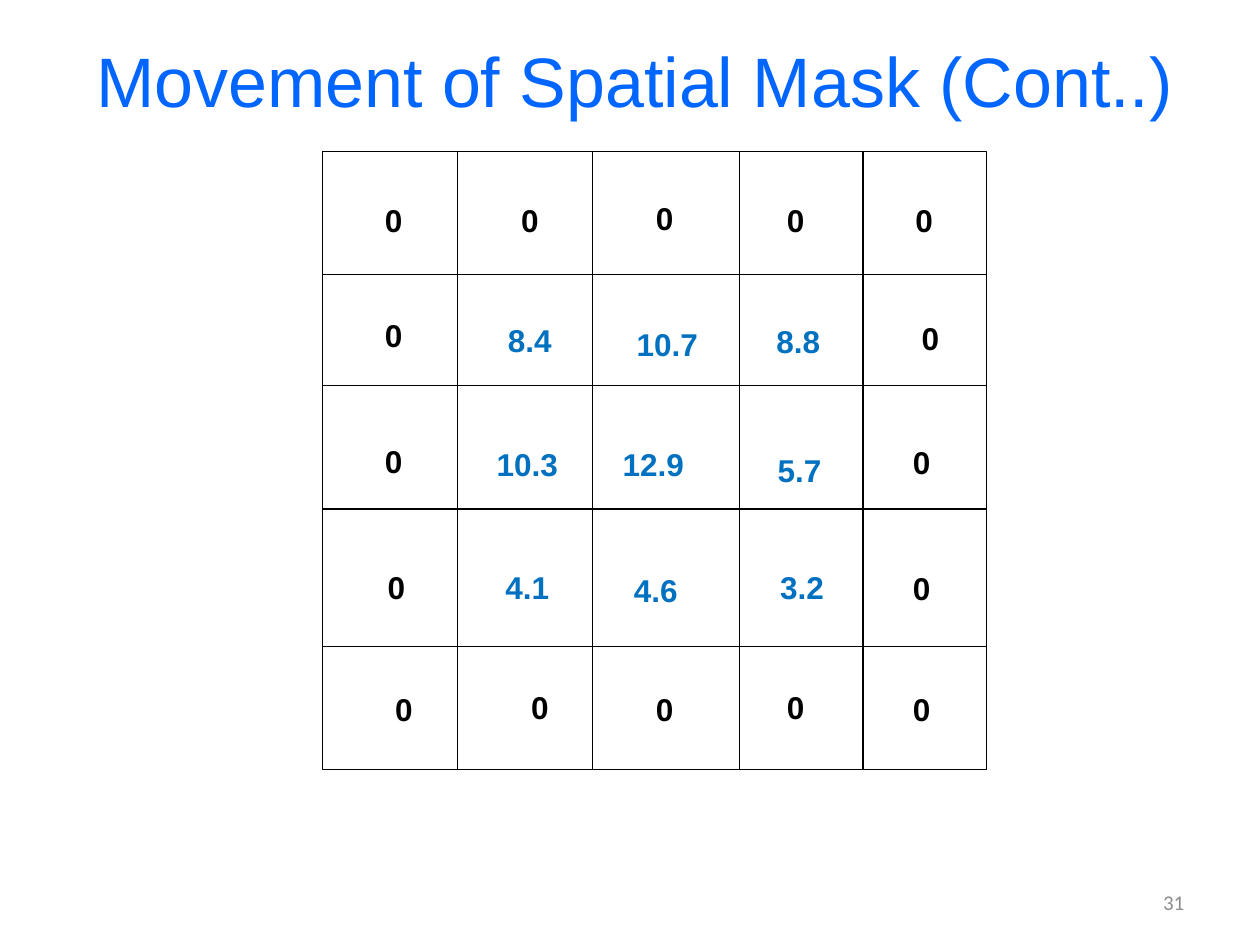
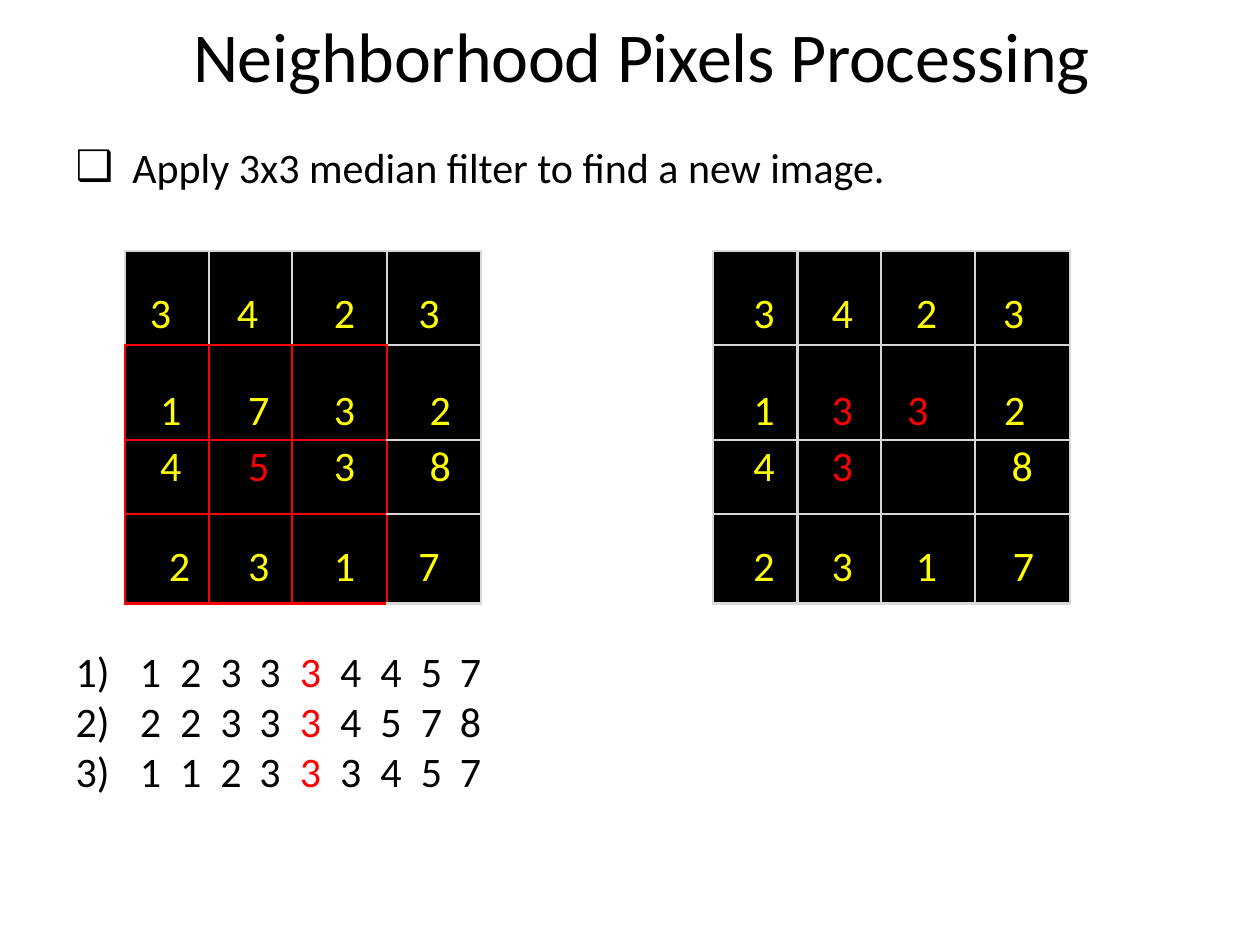
from typing import NamedTuple

from lxml import etree
from pptx import Presentation
from pptx.dml.color import RGBColor
from pptx.enum import shapes, text
from pptx.oxml import ns
from pptx.util import Inches, Pt

BLACK = RGBColor(0x00, 0x00, 0x00)
WHITE = RGBColor(0xFF, 0xFF, 0xFF)
GREY = RGBColor(0x8C, 0x8C, 0x8C)
SILVER = RGBColor(0xD7, 0xD7, 0xD7)
RED = RGBColor(0xFF, 0x00, 0x00)
YELLOW = RGBColor(0xFF, 0xFF, 0x00)
TITLE_BLUE = RGBColor(0x00, 0x66, 0xFF)
VALUE_BLUE = RGBColor(0x00, 0x70, 0xC0)

LEFT, CENTER, RIGHT = text.PP_ALIGN.LEFT, text.PP_ALIGN.CENTER, text.PP_ALIGN.RIGHT
TITLE_SIZE = 40
BODY_SIZE = 24


class Box(NamedTuple):
    x: float
    y: float
    w: float
    h: float


class Run(NamedTuple):
    text: str
    color: RGBColor = BLACK


class Reading(NamedTuple):
    text: str
    center: float
    top: float


class Pixel(NamedTuple):
    text: str
    indent: float
    color: RGBColor = YELLOW


class PixelTable(NamedTuple):
    x: float
    rows: list[list[Pixel]]
    window: set[tuple[int, int]]


GRID = Box(2.56, 1.2, 5.27, 4.91)
GRID_XS = (3.63, 4.7, 5.87, 6.85)
GRID_YS = (2.18, 3.06, 4.04, 5.13)
READINGS = [
    Reading("0", 3.13, 1.55), Reading("0", 4.21, 1.55), Reading("0", 5.28, 1.53),
    Reading("0", 6.32, 1.55), Reading("0", 7.34, 1.55),
    Reading("0", 3.13, 2.46), Reading("8.4", 4.21, 2.5), Reading("10.7", 5.3, 2.53),
    Reading("8.8", 6.34, 2.51), Reading("0", 7.39, 2.48),
    Reading("0", 3.13, 3.46), Reading("10.3", 4.19, 3.48), Reading("12.9", 5.19, 3.48),
    Reading("5.7", 6.35, 3.53), Reading("0", 7.32, 3.47),
    Reading("0", 3.15, 4.46), Reading("4.1", 4.19, 4.46), Reading("4.6", 5.21, 4.48),
    Reading("3.2", 6.37, 4.46), Reading("0", 7.32, 4.47),
    Reading("0", 3.21, 5.43), Reading("0", 4.29, 5.41), Reading("0", 5.28, 5.43),
    Reading("0", 6.32, 5.41), Reading("0", 7.32, 5.43),
]

TABLE_TOP = 1.99
COL_WIDTHS = (0.67, 0.66, 0.75, 0.75)
ROW_HEIGHTS = (0.75, 0.75, 0.59, 0.71)
ROW_INSETS = (0.34, 0.36, 0.05, 0.26)
SIDES = {"a:lnL": (0, -1), "a:lnR": (0, 1), "a:lnT": (-1, 0), "a:lnB": (1, 0)}

SOURCE_PIXELS = PixelTable(
    0.99,
    [
        [Pixel("3", 0.2), Pixel("4", 0.22), Pixel("2", 0.33), Pixel("3", 0.25)],
        [Pixel("1", 0.28), Pixel("7", 0.31), Pixel("3", 0.33), Pixel("2", 0.34)],
        [Pixel("4", 0.28), Pixel("5", 0.31, RED), Pixel("3", 0.33), Pixel("8", 0.34)],
        [Pixel("2", 0.35), Pixel("3", 0.31), Pixel("1", 0.33), Pixel("7", 0.25)],
    ],
    {(row, col) for row in (1, 2, 3) for col in (0, 1, 2)},
)
FILTERED_PIXELS = PixelTable(
    5.66,
    [
        [Pixel("3", 0.32), Pixel("4", 0.27), Pixel("2", 0.28), Pixel("3", 0.22)],
        [Pixel("1", 0.32), Pixel("3", 0.27, RED), Pixel("3", 0.21, RED), Pixel("2", 0.23)],
        [Pixel("4", 0.32), Pixel("3", 0.27, RED), Pixel("", 0), Pixel("8", 0.29)],
        [Pixel("2", 0.32), Pixel("3", 0.27), Pixel("1", 0.28), Pixel("7", 0.3)],
    ],
    set(),
)
SORTED_NEIGHBORS = ("123334457", "223334578", "112333457")


def write_runs(p, runs: list[Run], *, size: float, font: str = "Calibri",
               bold: bool = False, align=LEFT, spacing: float = 0) -> None:
    p.alignment = align
    for run in runs:
        r = p.add_run()
        r.text = run.text
        r.font.name = font
        r.font.size = Pt(size)
        r.font.bold = bold
        r.font.color.rgb = run.color
        if spacing:
            r._r.get_or_add_rPr().set("spc", str(round(spacing * 100)))


def add_text(sl, box: Box, lines: list[list[Run]], *, inset_top: float = 0.02,
             anchor=text.MSO_ANCHOR.TOP, **fmt):
    tf = sl.shapes.add_textbox(*map(Inches, box)).text_frame
    tf.word_wrap = True
    tf.vertical_anchor = anchor
    tf.margin_left = tf.margin_right = tf.margin_bottom = 0
    tf.margin_top = Inches(inset_top)
    for i, runs in enumerate(lines):
        p = tf.add_paragraph() if i else tf.paragraphs[0]
        write_runs(p, runs, **fmt)
    return tf


def set_indent(p, margin: float, *, first: float = 0, bullet: str = "",
               tabs: tuple[float, ...] = ()) -> None:
    pPr = p._p.get_or_add_pPr()
    pPr.set("marL", str(Inches(margin)))
    if first:
        pPr.set("indent", str(Inches(first)))
    if bullet:
        etree.SubElement(pPr, ns.qn("a:buFont"), typeface="Arial")
        etree.SubElement(pPr, ns.qn("a:buChar"), char=bullet)
    if tabs:
        tab_list = etree.SubElement(pPr, ns.qn("a:tabLst"))
        for tab in tabs:
            etree.SubElement(tab_list, ns.qn("a:tab"), pos=str(Inches(tab)), algn="l")


def add_line(sl, x1: float, y1: float, x2: float, y2: float) -> None:
    sp = sl.shapes.add_connector(shapes.MSO_CONNECTOR.STRAIGHT,
                                 *map(Inches, (x1, y1, x2, y2)))
    sp.line.color.rgb = BLACK
    sp.line.width = Pt(0.75)
    etree.SubElement(sp._element.spPr, ns.qn("a:effectLst"))


def set_border(tcPr, side: str, color: RGBColor) -> None:
    ln = etree.SubElement(tcPr, ns.qn(side), w=str(Pt(1.5)))
    fill = etree.SubElement(ln, ns.qn("a:solidFill"))
    etree.SubElement(fill, ns.qn("a:srgbClr"), val=str(color))


def add_pixel_table(sl, pixel_table: PixelTable) -> None:
    frame = sl.shapes.add_table(
        len(ROW_HEIGHTS), len(COL_WIDTHS), Inches(pixel_table.x), Inches(TABLE_TOP),
        Inches(sum(COL_WIDTHS)), Inches(sum(ROW_HEIGHTS)))
    table = frame.table
    table.first_row = table.horz_banding = False
    for col, width in zip(table.columns, COL_WIDTHS):
        col.width = Inches(width)
    for row, height in zip(table.rows, ROW_HEIGHTS):
        row.height = Inches(height)
    for i, pixels in enumerate(pixel_table.rows):
        for j, pixel in enumerate(pixels):
            cell = table.cell(i, j)
            cell.margin_left = Inches(pixel.indent)
            cell.margin_right = cell.margin_bottom = 0
            cell.margin_top = Inches(ROW_INSETS[i])
            for side, (di, dj) in SIDES.items():
                in_window = {(i, j), (i + di, j + dj)} & pixel_table.window
                set_border(cell._tc.get_or_add_tcPr(), side, RED if in_window else SILVER)
            cell.fill.solid()
            cell.fill.fore_color.rgb = BLACK
            if pixel.text:
                p = cell.text_frame.paragraphs[0]
                p.line_spacing = Pt(26.6)
                write_runs(p, [Run(pixel.text, pixel.color)], size=BODY_SIZE)


def add_title(sl, box: Box, title: str, *, color: RGBColor = BLACK, **fmt) -> None:
    add_text(sl, box, [[Run(title, color)]], size=TITLE_SIZE, align=CENTER, **fmt)


def add_blank_slide(prs):
    sl = prs.slides.add_slide(prs.slide_layouts[6])
    sl.background.fill.solid()
    sl.background.fill.fore_color.rgb = WHITE
    return sl


def build_mask_slide(prs) -> None:
    sl = add_blank_slide(prs)
    sp = sl.shapes.add_shape(shapes.MSO_SHAPE.RECTANGLE, *map(Inches, GRID))
    sp.shadow.inherit = False
    sp.fill.background()
    sp.line.color.rgb = BLACK
    sp.line.width = Pt(0.75)
    for y in GRID_YS:
        add_line(sl, GRID.x, y, GRID.x + GRID.w, y)
    for x in GRID_XS:
        add_line(sl, x, GRID.y, x, GRID.y + GRID.h)
    for reading in READINGS:
        color = BLACK if reading.text == "0" else VALUE_BLUE
        add_text(sl, Box(reading.center - 0.38, reading.top, 0.75, 0.4),
                 [[Run(reading.text, color)]], inset_top=0.05,
                 size=18, font="Arial", bold=True, align=CENTER)
    add_title(sl, Box(0.27, 0.25, 9.53, 0.77), "Movement of Spatial Mask (Cont..)",
              color=TITLE_BLUE, font="Arial", inset_top=0.05)
    add_text(sl, Box(7.17, 6.95, 2.23, 0.4), [[Run("31", GREY)]], size=12,
             align=RIGHT, anchor=text.MSO_ANCHOR.MIDDLE)


def build_median_slide(prs) -> None:
    sl = add_blank_slide(prs)
    add_title(sl, Box(0.59, 0.08, 9, 0.69), "Neighborhood Pixels Processing",
              spacing=-0.1)
    tf = add_text(sl, Box(0.59, 1.1, 6.45, 0.43),
                  [[Run("Apply 3x3 median filter to find a new image.")]], size=BODY_SIZE)
    set_indent(tf.paragraphs[0], 0.46, first=-0.45, bullet="❑")
    for pixel_table in (FILTERED_PIXELS, SOURCE_PIXELS):
        add_pixel_table(sl, pixel_table)

    lines = []
    for number, values in enumerate(SORTED_NEIGHBORS, 1):
        middle = len(values) // 2
        lines.append([
            Run("\t".join([f"{number})", *values[:middle], ""])),
            Run(values[middle], RED),
            Run("\t".join(["", *values[middle + 1:]])),
        ])
    tf = add_text(sl, Box(0.59, 5.1, 3.4, 1.23), lines, size=BODY_SIZE)
    tabs = tuple(round(0.51 + 0.318 * i, 2) for i in range(9))
    for p in tf.paragraphs:
        set_indent(p, 0.01, tabs=tabs)


def main() -> None:
    prs = Presentation()
    prs.slide_width = Inches(10)
    prs.slide_height = Inches(7.5)
    build_mask_slide(prs)
    build_median_slide(prs)
    prs.save("out.pptx")


if __name__ == "__main__":
    main()
